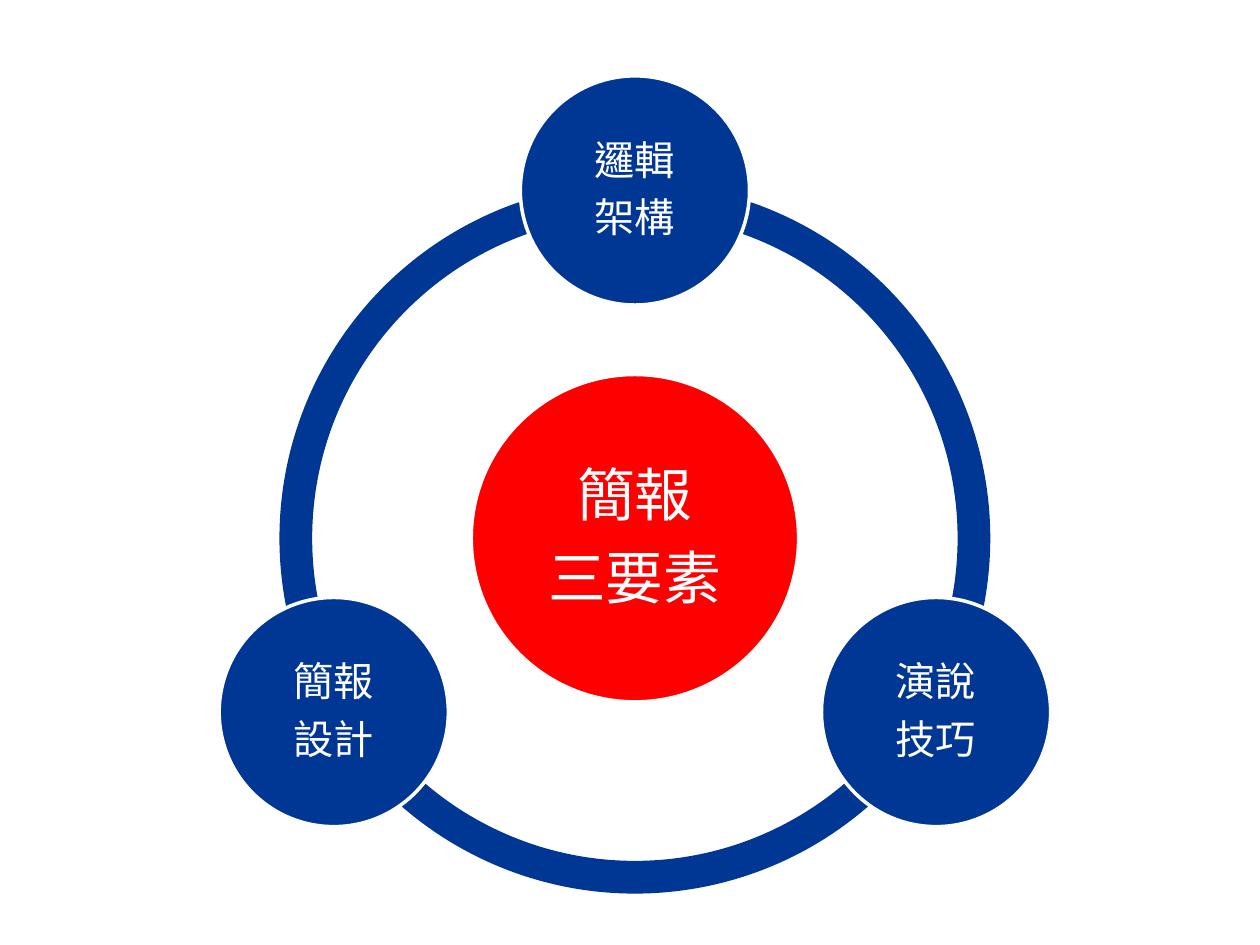
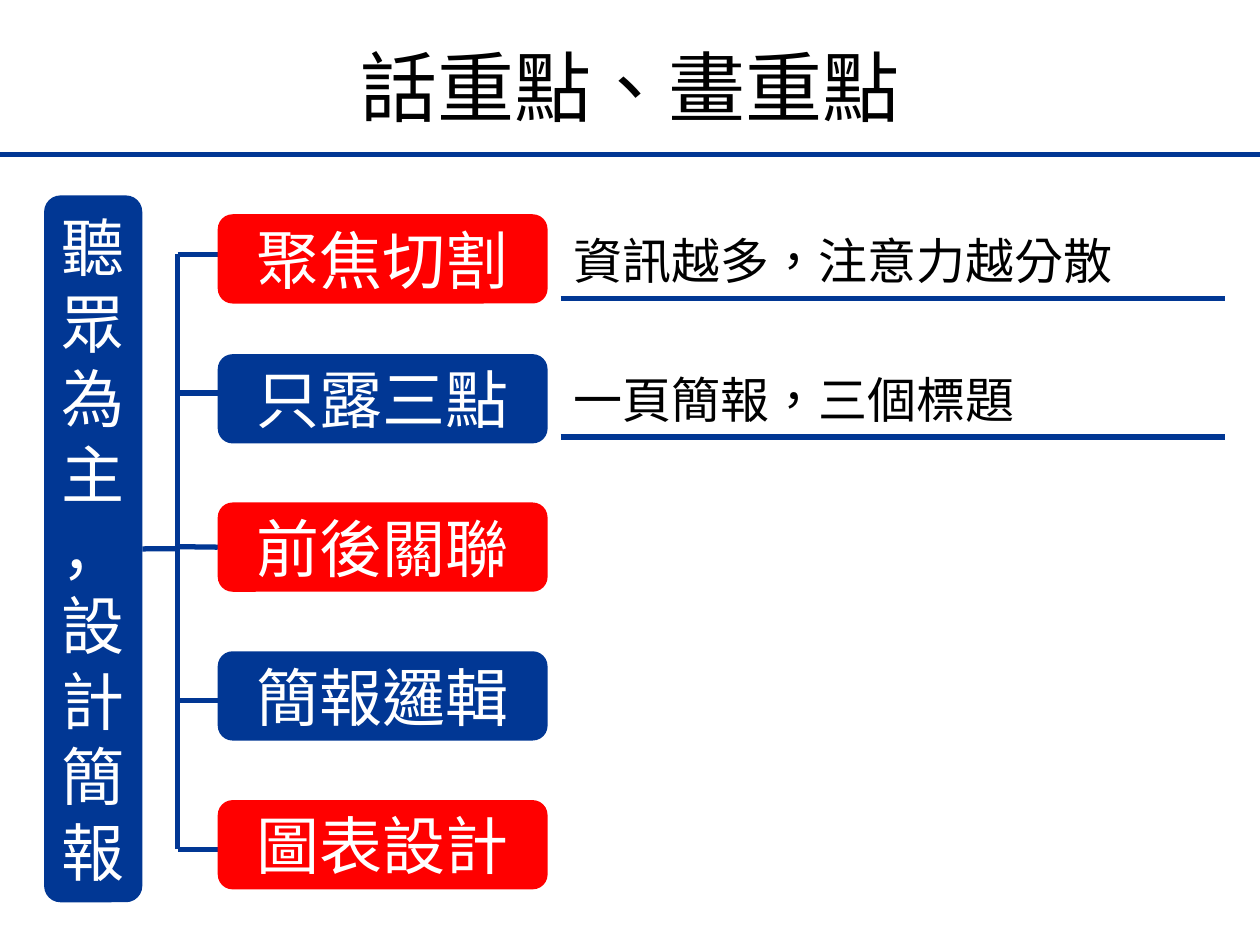
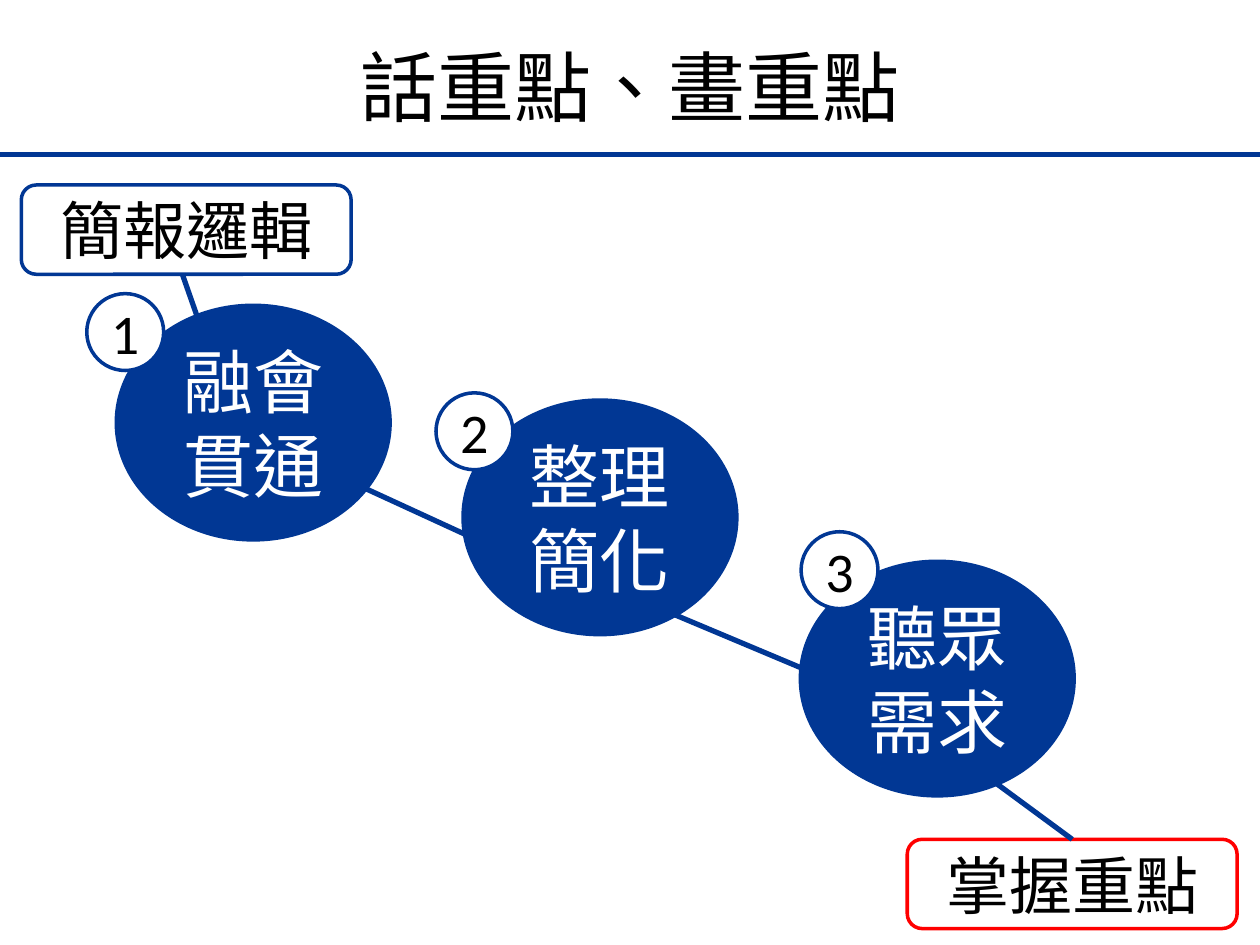
"""Build three slides on the elements of a good talk."""
from math import cos, radians, sin

from lxml.etree import SubElement
from pptx import Presentation
from pptx.dml.color import RGBColor as Rgb
from pptx.enum.shapes import MSO_CONNECTOR as Link, MSO_SHAPE as Kind
from pptx.enum.text import MSO_ANCHOR as Anchor, PP_ALIGN as Align
from pptx.oxml.ns import qn
from pptx.util import Cm, Pt

HUES = {"blue": "013794", "red": "FF0000", "white": "FFFFFF", "black": "000000"}
FONT = "Noto Sans CJK SC"
TITLE = "話重點、畫重點"

HUB = ["簡報", "三要素"]
NODES = [(["邏輯", "架構"], 270), (["演說", "技巧"], 30), (["簡報", "設計"], 150)]
ARCS = [(90, 162), (18, 90), (162, 18)]

BAR = "聽眾為主，設計簡報"
TOPICS = [
    ("聚焦切割", 4.32, 5.13),
    ("只露三點", 7.14, 7.92),
    ("前後關聯", 10.13, 11.02),
    ("簡報邏輯", 13.13, 14.12),
    ("圖表設計", 16.13, 17.12),
]
NOTES = [("資訊越多，注意力越分散", 6.02), ("一頁簡報，三個標題", 8.81)]

LABELS = [("簡報邏輯", 0.43, 3.73, "blue"), ("掌握重點", 18.29, 16.92, "red")]
STEPS = [
    (["融會", "貫通"], (2.31, 6.12), (1.75, 5.92)),
    (["整理", "簡化"], (9.3, 8.03), (8.79, 7.92)),
    (["聽眾", "需求"], (16.1, 11.28), (16.15, 10.72)),
]
LINKS = [
    (3.68, 5.54, 4.09, 6.71),
    (7.11, 9.73, 9.7, 10.92),
    (13.31, 12.27, 16.69, 13.69),
    (19.51, 15.37, 21.64, 16.92),
]
BOX = (6.65, 1.8)


def hue(name):
    return Rgb.from_string(HUES[name])


def write(shape, lines, size, color, align=Align.CENTER, font=FONT, tight=1, after=0):
    frame = shape.text_frame
    frame.word_wrap = True
    frame.vertical_anchor = Anchor.MIDDLE
    frame.margin_left = frame.margin_right = 0
    frame.margin_top = frame.margin_bottom = 0
    frame.text = "\n".join(lines)
    for para in frame.paragraphs:
        para.alignment = align
        para.line_spacing = Pt(size * 1.2 * tight)
        para.space_after = Pt(size * after)
        para.font.size = Pt(size)
        para.font.name = font
        para.font.color.rgb = hue(color)
        props = para.font._element
        props.set("lang", "zh-TW")
        SubElement(props, qn("a:ea"), typeface=font)


def shape(slide, kind, x, y, w, h, fill=None, edge=None):
    item = slide.shapes.add_shape(kind, Cm(x), Cm(y), Cm(w), Cm(h))
    item.shadow.inherit = False
    if fill:
        item.fill.solid()
        item.fill.fore_color.rgb = hue(fill)
    else:
        item.fill.background()
    if edge:
        item.line.color.rgb = hue(edge)
        item.line.width = Pt(2)
    else:
        item.line.fill.background()
    return item


def line(slide, x1, y1, x2, y2):
    item = slide.shapes.add_connector(Link.STRAIGHT, Cm(x1), Cm(y1), Cm(x2), Cm(y2))
    item.line.color.rgb = hue("blue")
    item.line.width = Pt(3)
    SubElement(item._element.spPr, qn("a:effectLst"))
    return item


def text(slide, x, y, w, h, words, size, align):
    box = slide.shapes.add_textbox(Cm(x), Cm(y), Cm(w), Cm(h))
    write(box, [words], size, "black", align)


def head(slide):
    text(slide, 1.27, 0.13, 22.86, 3.18, TITLE, 44, Align.CENTER)
    line(slide, 0, 3.12, 25.4, 3.12)


def wheel(slide):
    mid_x, mid_y, ring, orbit = 12.8, 10.85, 14.33, 7.01
    for start, end in ARCS:
        arc = shape(slide, Kind.BLOCK_ARC, mid_x - ring / 2, mid_y - ring / 2,
                    ring, ring, "blue")
        for at, value in enumerate((start * 0.6, end * 0.6, 0.05 * 0.92)):
            arc.adjustments[at] = value

    def disc(lines, x, y, wide, fill, size):
        item = shape(slide, Kind.OVAL, x - wide / 2, y - wide / 2, wide, wide,
                     fill, "white")
        write(item, lines, size, "white", tight=0.9, after=0.35)

    disc(HUB, mid_x, mid_y, 6.6, "red", 33)
    for lines, turn in NODES:
        angle = radians(turn)
        disc(lines, mid_x + orbit * cos(angle), mid_y + orbit * sin(angle),
             4.62, "blue", 23)


def tree(slide):
    head(slide)
    bar = shape(slide, Kind.ROUNDED_RECTANGLE, 0.89, 3.94, 1.98, 14.25, "blue")
    write(bar, BAR, 36, "white")
    trunk = 3.58
    stub = line(slide, 2.87, 11.06, trunk, 11.06)
    stub.begin_connect(bar, 3)
    line(slide, trunk, TOPICS[-1][2], trunk, TOPICS[0][2])
    twigs = [line(slide, trunk, y, 4.45, y) for _, _, y in TOPICS]
    boxes = []
    for at, (words, top, _) in enumerate(TOPICS):
        fill = "blue" if at % 2 else "red"
        box = shape(slide, Kind.ROUNDED_RECTANGLE, 4.39, top, *BOX, fill)
        write(box, [words], 36, "white")
        boxes.append(box)
    twigs[2].end_connect(boxes[2], 1)
    for words, y in NOTES:
        line(slide, 11.3, y, 24.69, y)
        text(slide, 11.57, y - 1.5, 12, 1.45, words, 28, Align.LEFT)


def chain(slide):
    head(slide)
    boxes = []
    for words, x, y, edge in LABELS:
        box = shape(slide, Kind.ROUNDED_RECTANGLE, x, y, *BOX, edge=edge)
        write(box, [words], 36, "black")
        boxes.append(box)
    for lines, spot, _ in STEPS:
        write(shape(slide, Kind.OVAL, *spot, 5.59, 4.8, "blue"), lines, 40, "white")
    ties = [line(slide, *ends) for ends in LINKS]
    ties[-1].end_connect(boxes[-1], 0)
    for count, (_, _, spot) in enumerate(STEPS, 1):
        badge = shape(slide, Kind.OVAL, *spot, 1.55, 1.55, "white", "blue")
        write(badge, [str(count)], 32, "black", font="Calibri")


def main():
    deck = Presentation()
    deck.slide_width, deck.slide_height = Cm(25.4), Cm(19.05)
    for build in (wheel, tree, chain):
        build(deck.slides.add_slide(deck.slide_layouts[6]))
    deck.save("out.pptx")


if __name__ == "__main__":
    main()
